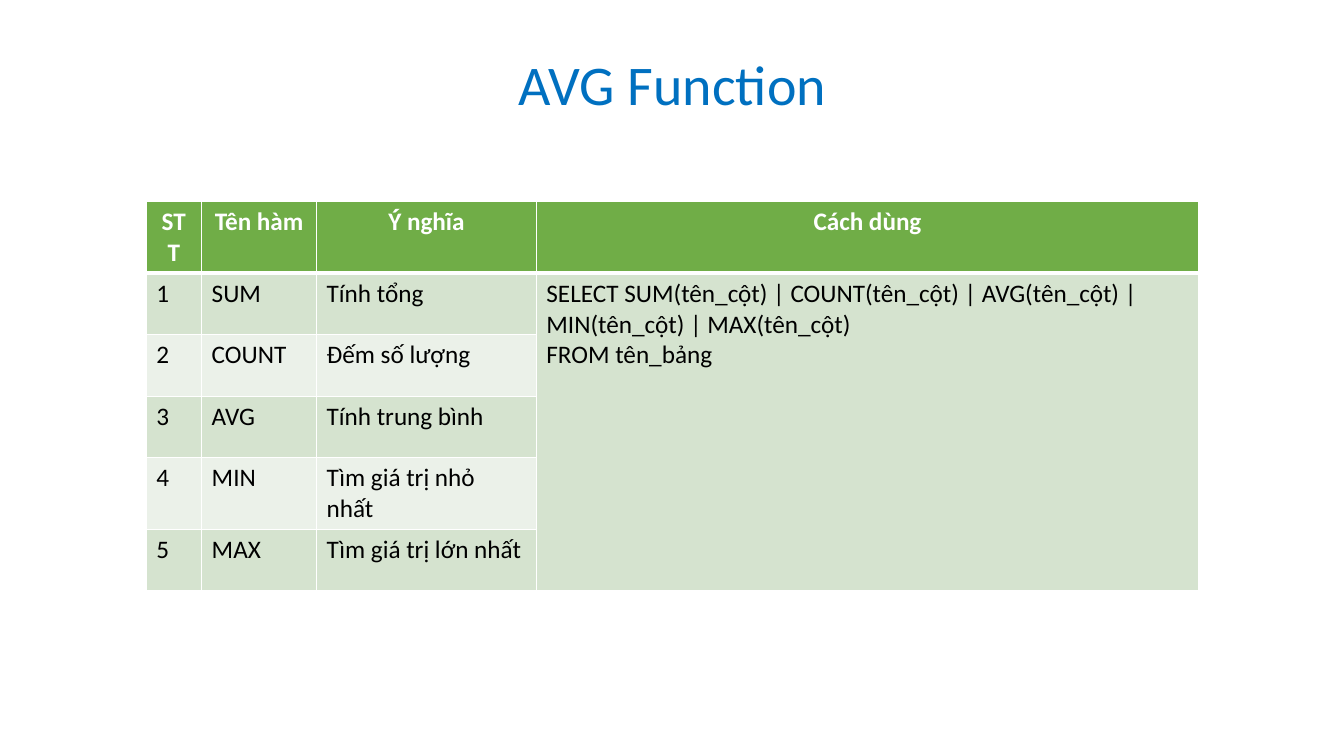
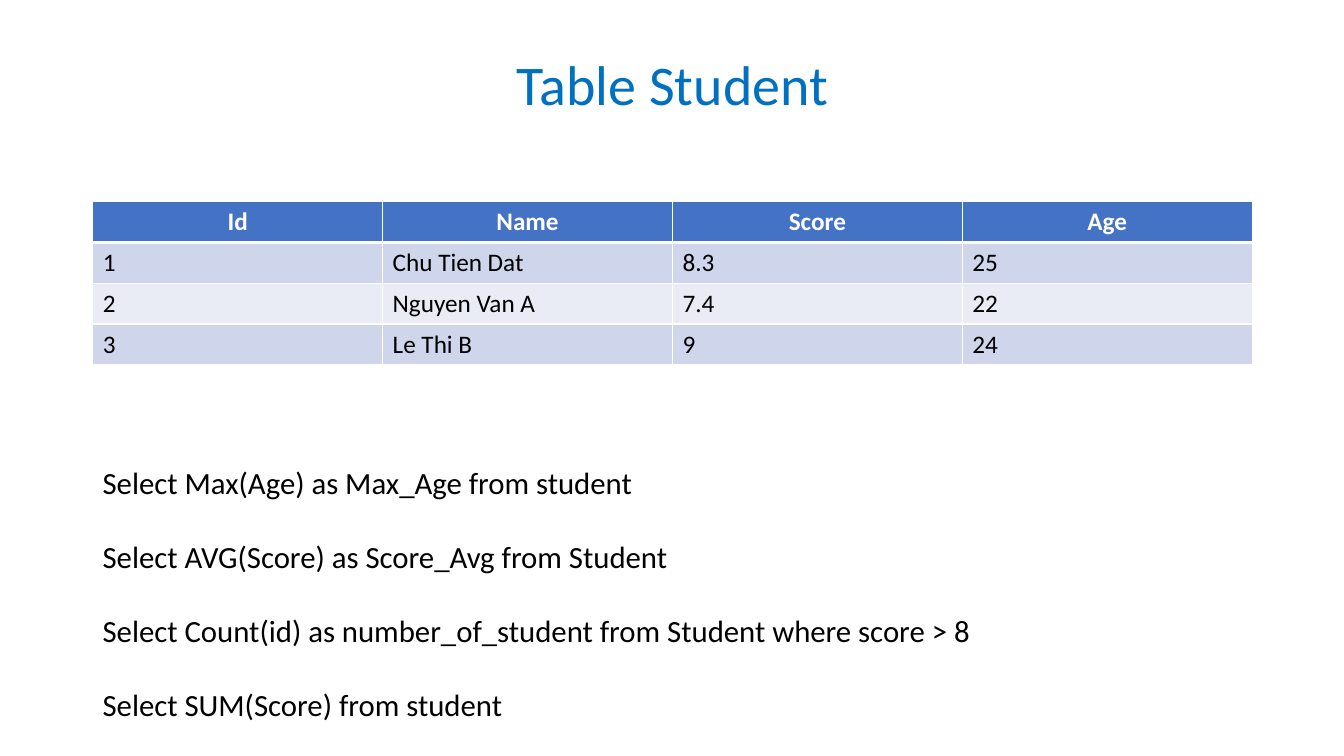
from dataclasses import dataclass

import pptx
import pptx.dml.color
import pptx.enum.text
import pptx.oxml
import pptx.oxml.ns
import pptx.slide
import pptx.table
import pptx.text.text
import pptx.util

RGBColor = pptx.dml.color.RGBColor
Inches = pptx.util.Inches
Pt = pptx.util.Pt
PP_ALIGN = pptx.enum.text.PP_ALIGN
MSO_ANCHOR = pptx.enum.text.MSO_ANCHOR

FONT = "Calibri"
WHITE = RGBColor(0xFF, 0xFF, 0xFF)
BLACK = RGBColor(0, 0, 0)
TITLE_BLUE = RGBColor(0x00, 0x70, 0xC0)
GREEN = RGBColor(0x70, 0xAD, 0x47)
GREEN_DARK_BAND = RGBColor(0xD5, 0xE3, 0xCF)
GREEN_LIGHT_BAND = RGBColor(0xEB, 0xF1, 0xE9)
BLUE = RGBColor(0x44, 0x72, 0xC4)
BLUE_DARK_BAND = RGBColor(0xCF, 0xD5, 0xEA)
BLUE_LIGHT_BAND = RGBColor(0xE9, 0xEB, 0xF5)

CONTENT_LEFT = 0.92
CONTENT_WIDTH = 11.5
TABLE_TOP = 2
THIN, THICK = 1, 3


@dataclass(frozen=True)
class Palette:
    header: RGBColor
    bands: tuple[RGBColor, RGBColor]


@dataclass(frozen=True)
class TableContent:
    left: float
    column_widths: list[float]
    row_height: float
    palette: Palette
    rows: list[list[str]]


FUNCTIONS = TableContent(
    left=1.45,
    column_widths=[0.55, 1.14, 2.18, 6.57],
    row_height=0.61,
    palette=Palette(GREEN, (GREEN_DARK_BAND, GREEN_LIGHT_BAND)),
    rows=[
        ["STT", "Tên hàm", "Ý nghĩa", "Cách dùng"],
        ["1", "SUM", "Tính tổng",
         "SELECT SUM(tên_cột) | COUNT(tên_cột) | AVG(tên_cột) | "
         "MIN(tên_cột) | MAX(tên_cột)\nFROM tên_bảng"],
        ["2", "COUNT", "Đếm số lượng"],
        ["3", "AVG", "Tính trung bình"],
        ["4", "MIN", "Tìm giá trị nhỏ nhất"],
        ["5", "MAX", "Tìm giá trị lớn nhất"],
    ],
)

STUDENTS = TableContent(
    left=CONTENT_LEFT,
    column_widths=[CONTENT_WIDTH / 4] * 4,
    row_height=0.405,
    palette=Palette(BLUE, (BLUE_DARK_BAND, BLUE_LIGHT_BAND)),
    rows=[
        ["Id", "Name", "Score", "Age"],
        ["1", "Chu Tien Dat", "8.3", "25"],
        ["2", "Nguyen Van A", "7.4", "22"],
        ["3", "Le Thi B", "9", "24"],
    ],
)

QUERIES = [
    "Select Max(Age) as Max_Age from student",
    "Select AVG(Score) as Score_Avg from Student",
    "Select Count(id) as number_of_student from Student where score > 8",
    "Select SUM(Score) from student",
]


def style_paragraph(paragraph: pptx.text.text._Paragraph, size: float,
                    color: RGBColor, bold: bool = False) -> None:
    font = paragraph.font
    font.name, font.size, font.bold = FONT, Pt(size), bold
    font.color.rgb = color


def add_text_frame(slide: pptx.slide.Slide, top: float, height: float,
                   text: str) -> pptx.text.text.TextFrame:
    box = slide.shapes.add_textbox(Inches(CONTENT_LEFT), Inches(top),
                                   Inches(CONTENT_WIDTH), Inches(height))
    box.text_frame.word_wrap = True
    box.text_frame.text = text
    return box.text_frame


def add_title(slide: pptx.slide.Slide, text: str) -> None:
    frame = add_text_frame(slide, 0.4, 0.93, text)
    frame.vertical_anchor = MSO_ANCHOR.MIDDLE
    paragraph = frame.paragraphs[0]
    paragraph.alignment = PP_ALIGN.CENTER
    paragraph.line_spacing = 0.9
    style_paragraph(paragraph, 40, TITLE_BLUE)


def set_borders(cell: pptx.table._Cell, top: float, bottom: float) -> None:
    properties = cell._tc.get_or_add_tcPr()
    sides = {"lnL": THIN, "lnR": THIN, "lnT": top, "lnB": bottom}
    # Border lines must come before the cell fill
    for index, (side, width) in enumerate(sides.items()):
        properties.insert(index, pptx.oxml.parse_xml(
            f'<a:{side} {pptx.oxml.ns.nsdecls("a")} w="{Pt(width)}">'
            f'<a:solidFill><a:srgbClr val="{WHITE}"/></a:solidFill></a:{side}>'))


def add_table(slide: pptx.slide.Slide, content: TableContent) -> pptx.table.Table:
    row_count, column_count = len(content.rows), len(content.column_widths)
    table = slide.shapes.add_table(
        row_count, column_count, Inches(content.left), Inches(TABLE_TOP),
        Inches(sum(content.column_widths)),
        Inches(content.row_height * row_count)).table
    for column, width in zip(table.columns, content.column_widths):
        column.width = Inches(width)

    for row_index, row in enumerate(table.rows):
        row.height = Inches(content.row_height)
        is_header = row_index == 0
        fill_color = (content.palette.header if is_header
                      else content.palette.bands[(row_index - 1) % 2])
        for cell in row.cells:
            cell.fill.solid()
            cell.fill.fore_color.rgb = fill_color
            set_borders(cell, top=THICK if row_index == 1 else THIN,
                        bottom=THICK if is_header else THIN)
        for cell, text in zip(row.cells, content.rows[row_index]):
            cell.text = text
            for paragraph in cell.text_frame.paragraphs:
                style_paragraph(paragraph, 18, WHITE if is_header else BLACK, is_header)
                if is_header:
                    paragraph.alignment = PP_ALIGN.CENTER
    return table


def add_queries(slide: pptx.slide.Slide) -> None:
    frame = add_text_frame(slide, 4.55, 2.69, "\n".join(QUERIES))
    for paragraph in frame.paragraphs:
        style_paragraph(paragraph, 22, BLACK)
    for paragraph in frame.paragraphs[1:]:
        paragraph.space_before = Pt(26.4)


def main() -> None:
    presentation = pptx.Presentation()
    presentation.slide_width = Inches(13.33)
    presentation.slide_height = Inches(7.5)
    blank_layout = presentation.slide_layouts[6]

    # Aggregate functions, with one usage cell beside all of them
    slide = presentation.slides.add_slide(blank_layout)
    functions_table = add_table(slide, FUNCTIONS)
    functions_table.cell(1, 3).merge(functions_table.cell(5, 3))
    add_title(slide, "AVG Function")

    # Student table and sample queries
    slide = presentation.slides.add_slide(blank_layout)
    add_table(slide, STUDENTS)
    add_queries(slide)
    add_title(slide, "Table Student")

    presentation.save("out.pptx")


if __name__ == "__main__":
    main()
